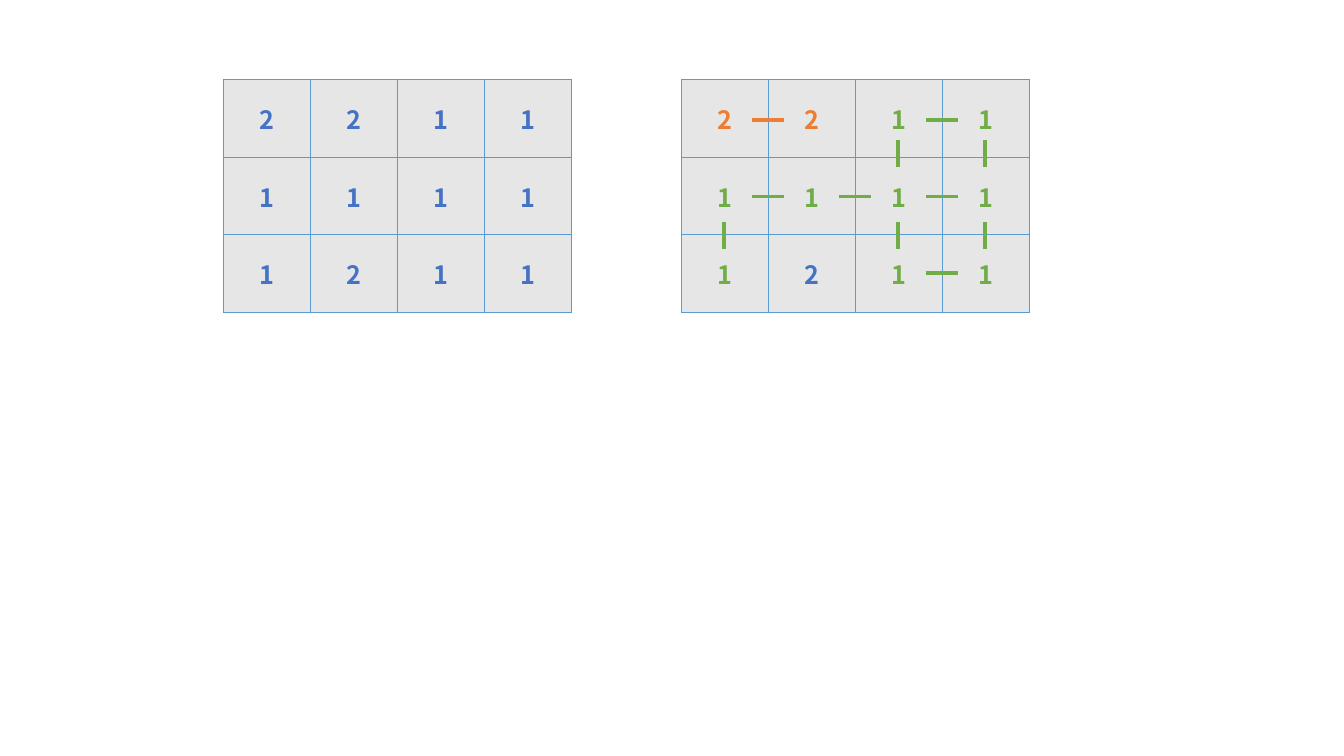
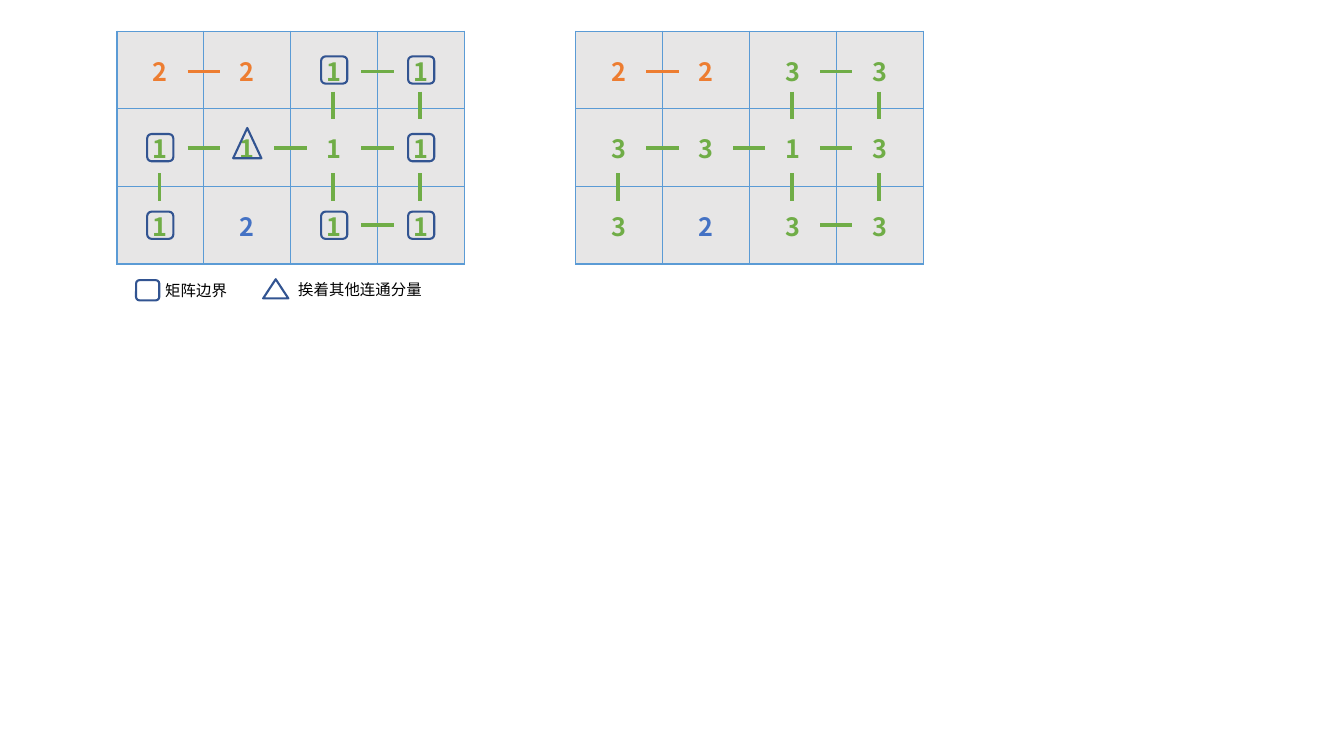
from lxml.etree import SubElement
from pptx import Presentation
from pptx.dml.color import RGBColor
from pptx.enum.shapes import MSO_CONNECTOR, MSO_SHAPE
from pptx.enum.text import MSO_ANCHOR, MSO_AUTO_SIZE, PP_ALIGN
from pptx.oxml import parse_xml
from pptx.oxml.ns import nsdecls, qn
from pptx.util import Inches, Pt

BLUE = RGBColor(0x44, 0x72, 0xC4)
ORANGE = RGBColor(0xED, 0x7D, 0x31)
GREEN = RGBColor(0x70, 0xAD, 0x47)
GRAY = RGBColor(0xE7, 0xE6, 0xE6)
EDGE = RGBColor(0x5B, 0x9B, 0xD5)
NAVY = RGBColor(0x32, 0x54, 0x91)
BLACK = RGBColor(0, 0, 0)

FONT = "Noto Sans CJK SC"
DIGIT = {"name": FONT, "size": Pt(18), "bold": True}
LABEL = {"name": FONT, "size": Pt(11), "bold": False}
PLAIN = {"first_row": False, "horz_banding": False}
MIDDLE = {"vertical_anchor": MSO_ANCHOR.MIDDLE}
GROW = {"word_wrap": True, "auto_size": MSO_AUTO_SIZE.SHAPE_TO_FIT_TEXT}

COLS, ROWS = 4, 3
WIDE, HIGH = 3.45, 2.31
STEP_X, STEP_Y = WIDE / COLS, HIGH / ROWS

HUES = {"B": BLUE, "O": ORANGE, "G": GREEN}
START = ["2211", "1111", "1211"]
FINAL = ["2233", "3313", "3233"]
SINGLE = ["BBBB"] * ROWS
GROUPS = ["OOGG", "GGGG", "GBGG"]
ACROSS = [(0, 0), (0, 2), (1, 0), (1, 1), (1, 2), (2, 2)]
DOWN = [(0, 2), (0, 3), (1, 0), (1, 2), (1, 3)]
BORDER = [(0, 2), (0, 3), (1, 0), (1, 3), (2, 0), (2, 2), (2, 3)]


def apply(target, values):
    for name, value in values.items():
        setattr(target, name, value)


def write(para, text, style, color):
    run = para.add_run()
    run.text = text
    apply(run.font, style)
    run.font.color.rgb = color
    SubElement(run._r.get_or_add_rPr(), qn("a:ea"), typeface=FONT)


def frame(cell):
    props = cell._tc.get_or_add_tcPr()
    for spot, side in enumerate("LRTB"):
        props.insert(spot, parse_xml(
            f'<a:ln{side} {nsdecls("a")} w="{Pt(1)}"><a:solidFill>'
            f'<a:srgbClr val="{EDGE}"/></a:solidFill></a:ln{side}>'))


def matrix(slide, left, top, digits, hues):
    table = slide.shapes.add_table(
        ROWS, COLS, Inches(left), Inches(top), Inches(WIDE), Inches(HIGH)).table
    apply(table, PLAIN)
    for row, line in enumerate(digits):
        for col, digit in enumerate(line):
            cell = table.cell(row, col)
            apply(cell, MIDDLE)
            cell.fill.solid()
            cell.fill.fore_color.rgb = GRAY
            frame(cell)
            para = cell.text_frame.paragraphs[0]
            para.alignment = PP_ALIGN.CENTER
            write(para, digit, DIGIT, HUES[hues[row][col]])


def link(slide, left, top, wide, high, color):
    line = slide.shapes.add_connector(
        MSO_CONNECTOR.STRAIGHT, Inches(left), Inches(top),
        Inches(left + wide), Inches(top + high))
    apply(line.line, {"width": Pt(2.5)})
    line.line.color.rgb = color
    SubElement(line._element.spPr, qn("a:effectLst"))


def graph(slide, left, top, digits):
    matrix(slide, left, top, digits, GROUPS)
    for row, col in ACROSS:
        link(slide, left + 0.7 + col * STEP_X, top + 0.4 + row * 0.76,
             0.32, 0, HUES[GROUPS[row][col]])
    for row, col in DOWN:
        link(slide, left + 0.42 + col * STEP_X, top + 0.6 + row * 0.81,
             0, 0.27, HUES[GROUPS[row][col]])


def mark(slide, kind, left, top, wide, high):
    shape = slide.shapes.add_shape(
        kind, Inches(left), Inches(top), Inches(wide), Inches(high))
    shape.shadow.inherit = False
    shape.fill.background()
    apply(shape.line, {"width": Pt(1.5)})
    shape.line.color.rgb = NAVY


def marks(slide, left, top):
    for row, col in BORDER:
        mark(slide, MSO_SHAPE.ROUNDED_RECTANGLE, left + 0.3 + col * STEP_X,
             top + 0.25 + row * STEP_Y, 0.26, 0.27)
    mark(slide, MSO_SHAPE.ISOSCELES_TRIANGLE, left + 0.29 + STEP_X,
         top + 0.19 + STEP_Y, 0.28, 0.3)


def label(slide, left, top, wide, text):
    box = slide.shapes.add_textbox(
        Inches(left), Inches(top), Inches(wide), Inches(0.29))
    apply(box.text_frame, GROW)
    write(box.text_frame.paragraphs[0], text, LABEL, BLACK)


def legend(slide, left, top):
    mark(slide, MSO_SHAPE.ROUNDED_RECTANGLE, left, top + 0.05, 0.23, 0.2)
    label(slide, left + 0.19, top + 0.01, 0.85, "矩阵边界")
    mark(slide, MSO_SHAPE.ISOSCELES_TRIANGLE, left + 1.26, top + 0.04, 0.25, 0.19)
    label(slide, left + 1.51, top, 1.54, "挨着其他连通分量")


def parts(slide, left, top):
    matrix(slide, left, top, START, SINGLE)
    graph(slide, left + 4.54, top, START)


def paint(slide, left, top):
    graph(slide, left, top, START)
    marks(slide, left, top)
    legend(slide, left + 0.19, top + 2.42)
    graph(slide, left + 4.55, top, FINAL)


def main():
    deck = Presentation()
    apply(deck, {"slide_width": Inches(13.33), "slide_height": Inches(7.5)})
    blank = deck.slide_layouts[6]
    for build, left, top in [(parts, 2.22, 0.79), (paint, 1.16, 0.31)]:
        build(deck.slides.add_slide(blank), left, top)
    deck.save("out.pptx")


if __name__ == "__main__":
    main()
